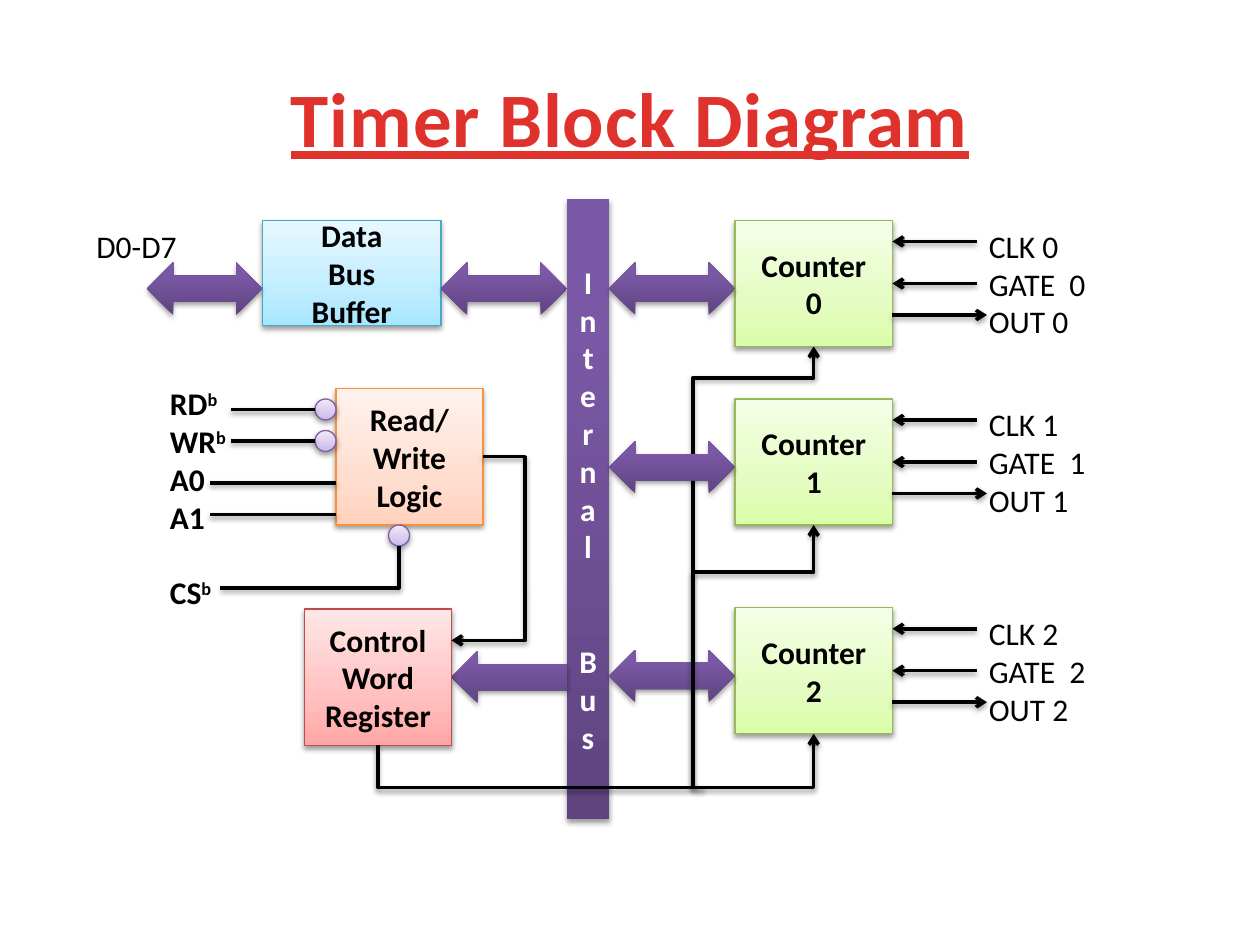
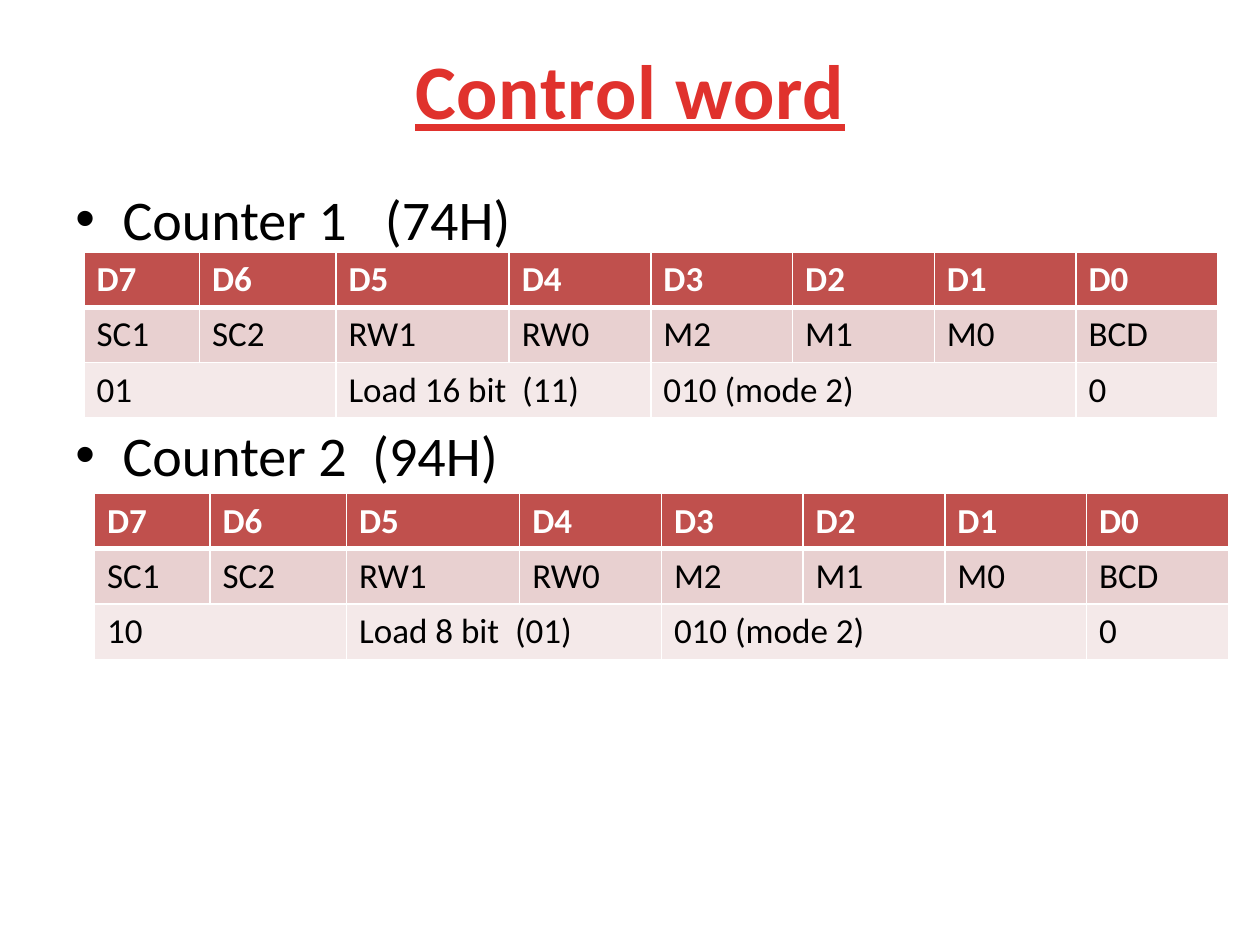
from lxml.etree import SubElement as Sub
from pptx import Presentation
from pptx.dml.color import RGBColor as Rgb
from pptx.enum.shapes import MSO_CONNECTOR as Link, MSO_SHAPE as Form
from pptx.enum.text import MSO_ANCHOR as Anchor, PP_ALIGN as Align
from pptx.oxml.ns import qn
from pptx.util import Pt

HUES = {
    "black": "000000", "white": "FFFFFF", "title": "E0322D",
    "head": "C0504D", "band": "E8D0D0", "pale": "F4E9E9",
}
# Gradient stops from bottom to top, then the outline
SKINS = {
    "blue": (((0, "A7E6FF"), (35, "C1EDFF"), (100, "E7F8FF")), "46AAC5"),
    "orange": (((0, "FFD2BD"), (35, "FFDED0"), (100, "FFF2ED")), "F69240"),
    "green": (((0, "DAFDA7"), (35, "E4FCC2"), (100, "F5FFE7")), "98B955"),
    "red": (((0, "FFA6A5"), (35, "FFC0BF"), (100, "FFE7E7")), "BF4C48"),
    "lilac": (((0, "C9B5E8"), (35, "D8CBEE"), (100, "F0EAF9")), "7D60A0"),
    "purple": (((0, "5F4480"), (80, "7B58A6"), (100, "7C57A8")), None),
}
PLAIN = {"name": "Calibri", "size": Pt(18), "bold": False}
BOLD = {**PLAIN, "bold": True}
TITLE = {**BOLD, "size": Pt(44), "underline": True}
BODY = {**PLAIN, "size": Pt(32)}
CELL = {**PLAIN, "size": Pt(20)}
HEAD = {**CELL, "bold": True}

TRUNK_X, TRUNK_Y = 396, 450
COLS = (66, 78, 99) + (81,) * 5
ROW = 31.6
BITS = [f"D{n}" for n in range(7, -1, -1)]
FIELDS = ["SC1", "SC2", "RW1", "RW0", "M2", "M1", "M0", "BCD"]
SPANS = ((0, 1), (2, 3), (4, 6), (7, 7))


def color(name):
    return Rgb.from_string(HUES[name])


def node(up, tag, **attrs):
    return Sub(up, qn(tag), {key: str(val) for key, val in attrs.items()})


def add_run(para, text, fmt, hue):
    run = para.add_run()
    run.text = text
    for key, val in fmt.items():
        setattr(run.font, key, val)
    run.font.color.rgb = color(hue)
    return run


def write(frame, lines, fmt=PLAIN, hue="black", align=Align.LEFT, gaps=None):
    """Fill a frame; "^" starts a superscript, gaps maps line to space before."""
    frame.word_wrap = True
    for num, line in enumerate(lines):
        para = frame.paragraphs[0] if num == 0 else frame.add_paragraph()
        para.alignment = align
        para.space_before = Pt((gaps or {}).get(num, 0))
        base, _, sup = line.partition("^")
        add_run(para, base, fmt, hue)
        if sup:
            run = add_run(para, sup, fmt, hue)
            run.font._element.set("baseline", "30000")


def label(slide, x, y, w, h, lines, **look):
    box = slide.shapes.add_textbox(Pt(x), Pt(y), Pt(w), Pt(h))
    write(box.text_frame, lines, **look)
    return box


def title(slide, y, h, text):
    box = label(slide, 36, y, 648, h, [text], fmt=TITLE, hue="title",
                align=Align.CENTER)
    box.text_frame.vertical_anchor = Anchor.MIDDLE
    run = box.text_frame.paragraphs[0].runs[0]
    run.font._element.set("spc", "50")


def shade(effects, blur=3.1, dist=1.6, alpha=38):
    drop = node(effects, "a:outerShdw", blurRad=Pt(blur), dist=Pt(dist),
                dir=5400000, rotWithShape=0)
    tint = node(drop, "a:srgbClr", val=HUES["black"])
    node(tint, "a:alpha", val=alpha * 1000)


def block(slide, form, x, y, w, h, skin, lines=(), hue="black", gaps=None):
    """Add a shaded gradient shape with bold centred text."""
    shape = slide.shapes.add_shape(form, Pt(x), Pt(y), Pt(w), Pt(h))
    stops, edge = SKINS[skin]
    shape.fill.gradient()
    shape.fill.gradient_angle = 90
    props = shape._element.spPr
    ramp = props.find(".//" + qn("a:gsLst"))
    for old in list(ramp):
        ramp.remove(old)
    for pos, tone in stops:
        node(node(ramp, "a:gs", pos=pos * 1000), "a:srgbClr", val=tone)
    if edge:
        shape.line.color.rgb = Rgb.from_string(edge)
        shape.line.width = Pt(0.75)
    else:
        shape.line.fill.background()
    shape.shadow.inherit = False
    shade(props.find(qn("a:effectLst")))
    shape.text_frame.vertical_anchor = Anchor.MIDDLE
    write(shape.text_frame, lines, BOLD, hue, Align.CENTER, gaps)


def arrow(slide, x, y, w, form=Form.LEFT_RIGHT_ARROW):
    block(slide, form, x, y, w, 30, "purple")


def wire(slide, x1, y1, x2, y2, tip=None, kind=Link.STRAIGHT):
    """Add a black line; tip is "head" or "tail" for an arrow at that end."""
    link = slide.shapes.add_connector(kind, Pt(x1), Pt(y1), Pt(x2), Pt(y2))
    link.line.color.rgb = color("black")
    link.line.width = Pt(2)
    props = link._element.spPr
    if tip:
        node(props.find(qn("a:ln")), f"a:{tip}End", type="arrow")
    shade(node(props, "a:effectLst"))
    return props


def bend(slide, x1, y1, x2, y2, tip=None):
    """Add a wire that runs level first, then turns once."""
    props = wire(slide, x1, y1, x2, y2, tip, Link.ELBOW)
    props.find(qn("a:prstGeom")).set("prst", "bentConnector2")


def riser(slide, x1, y1, x2, y2, turn):
    """Add an arrow that climbs to the height turn, steps right and climbs on."""
    mid_x, mid_y = (x1 + x2) / 2, (y1 + y2) / 2
    half_w, half_h = (y1 - y2) / 2, (x2 - x1) / 2
    props = wire(slide, mid_x + half_w, mid_y + half_h,
                 mid_x - half_w, mid_y - half_h, "tail", Link.ELBOW)
    props.find(qn("a:xfrm")).set("rot", "5400000")
    share = round((y1 - turn) / (y1 - y2) * 100000)
    guides = props.find(".//" + qn("a:avLst"))
    node(guides, "a:gd", name="adj1", fmla=f"val {share}")


def buffer(slide, x, y):
    block(slide, Form.RECTANGLE, x, y, 102, 60, "blue",
          ["Data", "Bus", "Buffer"])
    arrow(slide, x + 102, y + 24, 72)
    arrow(slide, x - 66, y + 24, 66)
    label(slide, x - 102, y, 96, 29, ["D0-D7"])


def logic(slide, x, y):
    block(slide, Form.RECTANGLE, x, y, 84, 78, "orange",
          ["Read/", "Write", "Logic"])
    label(slide, x - 102, y - 6, 54, 138,
          ["RD^b", "WR^b", "A0", "A1", "CS^b"], fmt=BOLD, gaps={4: 21.6})
    for dx, dy in ((-12, 6), (-12, 24), (30, 78)):
        block(slide, Form.OVAL, x + dx, y + dy, 12, 12, "lilac")
    for right, left, dy in ((-12, -60, 12), (-12, -60, 30),
                            (0, -72, 54), (0, -72, 72)):
        wire(slide, x + right, y + dy, x + left, y + dy)
    bend(slide, x - 66, y + 114, x + 36, y + 90)
    bend(slide, x + 84, y + 39, x + 108, y + 114)


def register(slide, x, y):
    arrow(slide, x + 84, y + 24, 66, Form.LEFT_ARROW)
    block(slide, Form.RECTANGLE, x, y, 84, 78, "red",
          ["Control Word", "Register"])
    bend(slide, x + 84, y + 18, x + 126, y - 12, "head")
    bend(slide, x + 228, y + 102, x + 42, y + 78)


def counter(slide, x, y, num):
    block(slide, Form.RECTANGLE, x, y, 90, 72, "green", ["Counter", str(num)])
    arrow(slide, x - 72, y + 24, 72)
    for dy in (12, 36):
        wire(slide, x + 138, y + dy, x + 90, y + dy, "tail")
    wire(slide, x + 90, y + 54, x + 144, y + 54, "tail")
    label(slide, x + 138, y, 78, 73,
          [f"CLK {num}", f"GATE  {num}", f"OUT {num}"])


def diagram(slide):
    title(slide, 21.6, 90, "Timer Block Diagram")
    buffer(slide, 150, 126)
    block(slide, Form.RECTANGLE, 324, 114, 24, 354, "purple",
          ["Internal", "Bus"], "white", {1: 44})
    logic(slide, 192, 222)
    register(slide, 174, 348)
    left, tops = 420, (126, 228, 347.3)
    pin = left + 45
    riser(slide, TRUNK_X, TRUNK_Y, pin, tops[0] + 72, 216)
    for num, top in enumerate(tops):
        counter(slide, left, top, num)
    riser(slide, TRUNK_X, TRUNK_Y, pin, tops[1] + 72, 327)
    bend(slide, TRUNK_X, TRUNK_Y, pin, tops[2] + 72, "tail")


def paint(cell, text, fill, fmt, hue, base):
    """Style one cell; base is the weight of its lower border."""
    write(cell.text_frame, [text] if text else [], fmt, hue)
    props = cell._tc.get_or_add_tcPr()
    for side, width in (("L", 1), ("R", 1), ("T", 1), ("B", base)):
        edge = node(props, f"a:ln{side}", w=Pt(width))
        node(node(edge, "a:solidFill"), "a:srgbClr", val=HUES["white"])
    cell.fill.solid()
    cell.fill.fore_color.rgb = color(fill)


def grid(slide, x, y, values):
    """Add a control word table whose last row holds merged field values."""
    table = slide.shapes.add_table(3, len(COLS), Pt(x), Pt(y), Pt(sum(COLS)),
                                   Pt(3 * ROW)).table
    for col, width in zip(table.columns, COLS):
        col.width = Pt(width)
    for row in table.rows:
        row.height = Pt(ROW)
    last = [""] * len(COLS)
    for (start, end), value in zip(SPANS, values):
        last[start] = value
        if end > start:
            table.cell(2, start).merge(table.cell(2, end))
    looks = (("head", HEAD, "white", 3), ("band", CELL, "black", 1),
             ("pale", CELL, "black", 1))
    for r, (texts, look) in enumerate(zip((BITS, FIELDS, last), looks)):
        for c, text in enumerate(texts):
            paint(table.cell(r, c), text, *look)


def words(slide):
    title(slide, 0, 102, "Control word")
    body = label(slide, 36, 102, 648, 356,
                 ["Counter 1   (74H)", "Counter 2  (94H)"],
                 fmt=BODY, gaps={0: 6.4, 1: 96.4})
    for para in body.text_frame.paragraphs:
        props = para._p.get_or_add_pPr()
        props.set("marL", str(Pt(27)))
        props.set("indent", str(Pt(-27)))
        node(props, "a:buFont", typeface="Arial")
        node(props, "a:buChar", char="•")
    grid(slide, 48, 144, ["01", "Load 16 bit  (11)", "010 (mode 2)", "0"])
    grid(slide, 54, 282, ["10", "Load 8 bit  (01)", "010 (mode 2)", "0"])


def main():
    deck = Presentation()
    deck.slide_width, deck.slide_height = Pt(720), Pt(540)
    for draw in (diagram, words):
        draw(deck.slides.add_slide(deck.slide_layouts[6]))
    deck.save("out.pptx")


if __name__ == "__main__":
    main()
